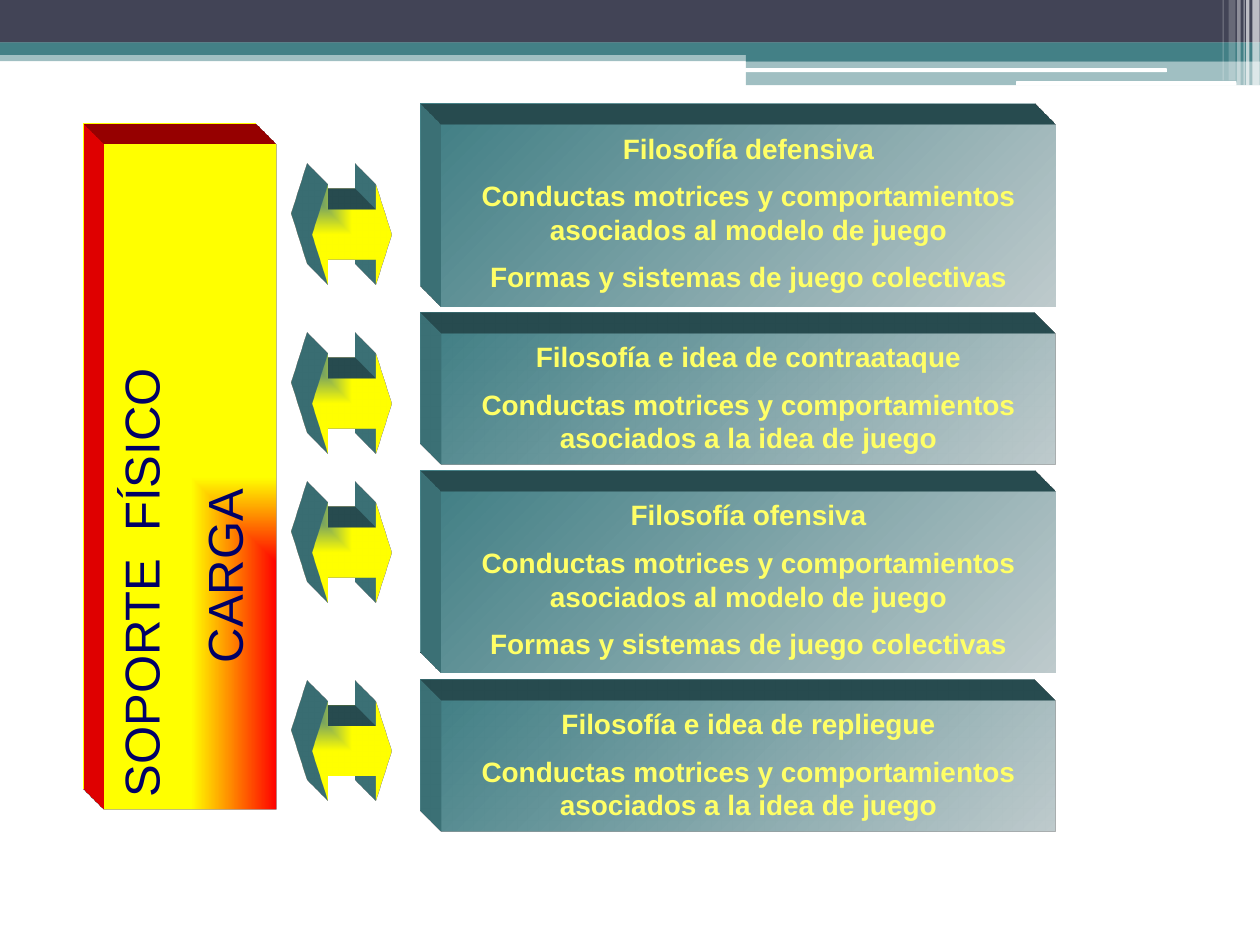
import pptx
import pptx.util
import pptx.dml.color
import pptx.enum.shapes
import pptx.enum.text
import pptx.oxml
import pptx.oxml.ns

Pt = pptx.util.Pt
SHAPES = pptx.enum.shapes.MSO_SHAPE
NAMESPACE = pptx.oxml.ns.nsdecls("a")
TEAL, WHITE, SLATE = "438086", "FFFFFF", "424456"
YELLOW, RED, NAVY = "FFFF00", "FF0000", "000066"


def color(value):
    """Return the colour object for a hex string."""
    return pptx.dml.color.RGBColor.from_string(value)


def add_shape(slide, kind, left, top, width, height, fill=None, opacity=100):
    """Add a shape without line or shadow, with an optional solid fill."""
    shape = slide.shapes.add_shape(kind, Pt(left), Pt(top), Pt(width), Pt(height))
    shape.shadow.inherit = False
    shape.line.fill.background()
    if fill:
        shape.fill.solid()
        shape.fill.fore_color.rgb = color(fill)
        if opacity < 100:
            solid = shape.fill._xPr.find(pptx.oxml.ns.qn("a:solidFill"))
            solid[0].append(pptx.oxml.parse_xml(
                f'<a:alpha {NAMESPACE} val="{opacity * 1000}"/>'))
    return shape


def set_gradient(shape, start, end, corner=False):
    """Fill a shape with a diagonal gradient or one spreading from a corner."""
    direction = ('<a:path path="rect"><a:fillToRect r="100000" b="100000"/></a:path>'
                 if corner else '<a:lin ang="2700000" scaled="1"/>')
    gradient = pptx.oxml.parse_xml(
        f'<a:gradFill {NAMESPACE} rotWithShape="1"><a:gsLst>'
        f'<a:gs pos="0"><a:srgbClr val="{start}"/></a:gs>'
        f'<a:gs pos="100000"><a:srgbClr val="{end}"/></a:gs></a:gsLst>{direction}</a:gradFill>')
    shape._element.spPr.find(pptx.oxml.ns.qn("a:prstGeom")).addnext(gradient)


def extrude(shape, side):
    """Give a shape an oblique depth towards the top left."""
    properties = shape._element.spPr
    properties.append(pptx.oxml.parse_xml(
        f'<a:scene3d {NAMESPACE}><a:camera prst="legacyObliqueTopLeft"/>'
        '<a:lightRig rig="legacyFlat3" dir="b"/></a:scene3d>'))
    properties.append(pptx.oxml.parse_xml(
        f'<a:sp3d {NAMESPACE} extrusionH="430200" prstMaterial="legacyMatte">'
        '<a:bevelT w="13500" h="13500" prst="angle"/><a:bevelB w="13500" h="13500" prst="angle"/>'
        f'<a:extrusionClr><a:srgbClr val="{side}"/></a:extrusionClr></a:sp3d>'))


def write_text(shape, lines, size=16, fill="FFFF66", bold=False):
    """Write centred paragraphs spaced by half the text size."""
    frame = shape.text_frame
    frame.word_wrap = True
    frame.vertical_anchor = pptx.enum.text.MSO_ANCHOR.TOP
    for index, line in enumerate(lines):
        paragraph = frame.paragraphs[0] if index == 0 else frame.add_paragraph()
        paragraph.alignment = pptx.enum.text.PP_ALIGN.CENTER
        paragraph.space_before = Pt(size / 2)
        run = paragraph.add_run()
        run.text = line
        run.font.name = "Arial"
        run.font.size = Pt(size)
        run.font.bold = bold
        run.font.color.rgb = color(fill)


def add_header(slide, left, top, width):
    """Draw the header bands, tabs and fine stripes."""
    half = left + 426.2
    bands = [(left, 28.8, width, 6.2, TEAL, 50), (left, 0, width, 24.4, SLATE, 100),
             (left, 24.2, width, 7.2, TEAL, 100),
             (half, 28, width - 426.2, 7.2, TEAL, 100),
             (half, 35, width - 426.2, 13.7, TEAL, 50)]
    for x, y, band_width, height, fill, opacity in bands:
        add_shape(slide, SHAPES.RECTANGLE, x, top + y, band_width, height, fill, opacity)
    for x, y, tab_width, height in [(425.6, 39, 241.2, 2.2), (580.6, 46.4, 126, 2.6)]:
        add_shape(slide, SHAPES.ROUNDED_RECTANGLE, left + x, top + y, tab_width, height, WHITE)
    stripes = [(715.6, 4.2, 48.8, 65), (712, 2, 48.8, 65), (710.6, 0.7, 48.8, 60),
               (707, 2, 48.8, 40), (702, 4, 46, 20), (698.6, 0.7, 46, 30)]
    for x, stripe_width, height, opacity in stripes:
        add_shape(slide, SHAPES.RECTANGLE, left + x, top, stripe_width, height, WHITE, opacity)


def add_phase(slide, left, top, width, height, lines):
    """Draw the block of one phase of play."""
    block = add_shape(slide, SHAPES.RECTANGLE, left, top, width, height)
    set_gradient(block, TEAL, "BECACC")
    extrude(block, TEAL)
    write_text(block, lines, bold=True)


def add_support(slide, left, top, width, height):
    """Draw the upright block for physical support."""
    block = add_shape(slide, SHAPES.RECTANGLE, left, top, width, height)
    block.rotation = 180
    set_gradient(block, RED, YELLOW, corner=True)
    extrude(block, RED)
    write_text(block, ["SOPORTE  FÍSICO ", "CARGA"], size=28, fill=NAVY)
    block.text_frame._txBody.bodyPr.set("vert", "eaVert")


def add_link(slide, left, top, width, height):
    """Draw a double arrow between the support and a phase."""
    arrow = add_shape(slide, SHAPES.LEFT_RIGHT_ARROW, left, top, width, height)
    arrow.adjustments[0] = 0.5
    arrow.adjustments[1] = 0.2
    set_gradient(arrow, TEAL, YELLOW, corner=True)
    extrude(arrow, TEAL)


def main():
    """Build and save the slide."""
    presentation = pptx.Presentation()
    presentation.slide_width, presentation.slide_height = Pt(720), Pt(540)
    slide = presentation.slides.add_slide(presentation.slide_layouts[6])
    add_header(slide, 0, 0, 720)

    conduct = "Conductas motrices y comportamientos asociados "
    model = [conduct + "al modelo de juego", "Formas y sistemas de juego colectivas"]
    idea = [conduct + "a la idea de juego"]
    phases = [("Filosofía defensiva", model), ("Filosofía e idea de contraataque", idea),
              ("Filosofía ofensiva", model), ("Filosofía e idea de repliegue", idea)]
    top = 71.4
    for title, details in phases:
        height = 103.6 if details is model else 74.8
        add_phase(slide, 252, top, 351.4, height, [title] + details)
        top += height + 15.6

    add_support(slide, 59.6, 82.6, 98.6, 380)
    for link_top in (105.6, 202.2, 287.4, 400.6):
        add_link(slide, 178.6, link_top, 45.4, 57)
    presentation.save("out.pptx")


main()
